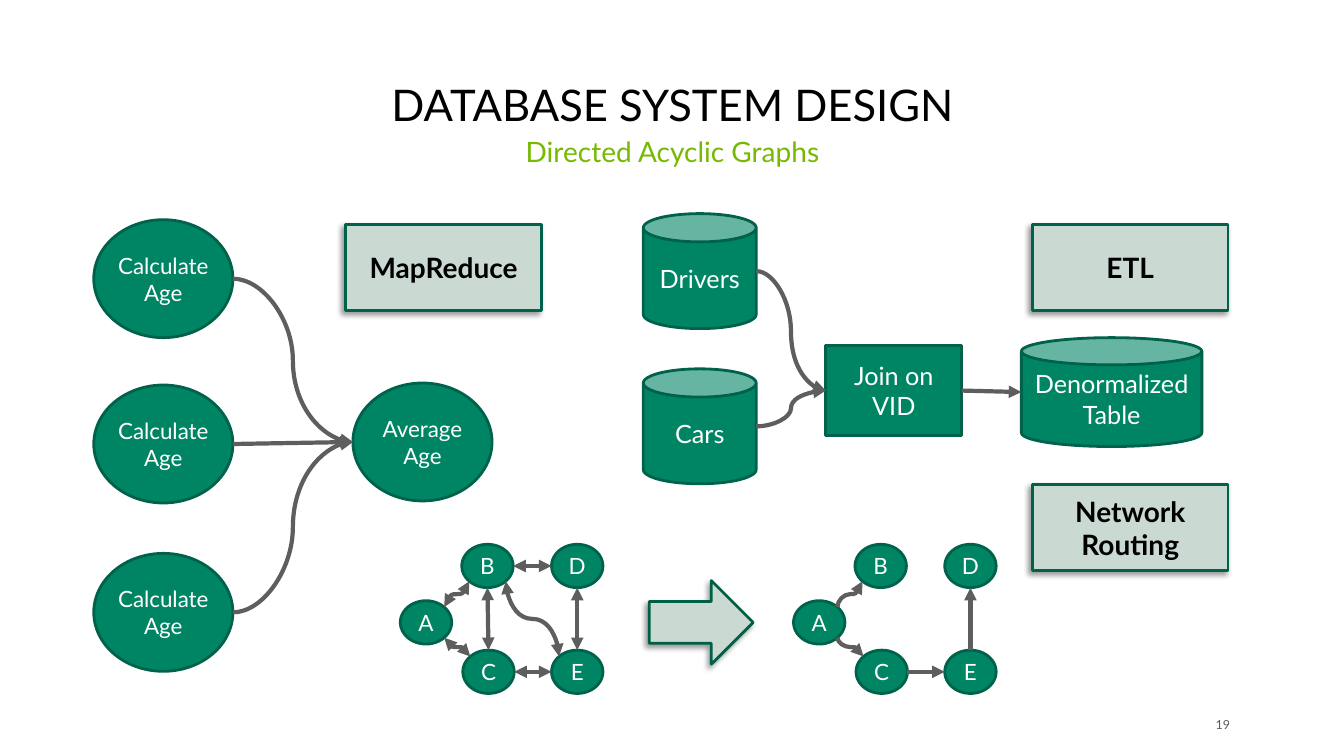
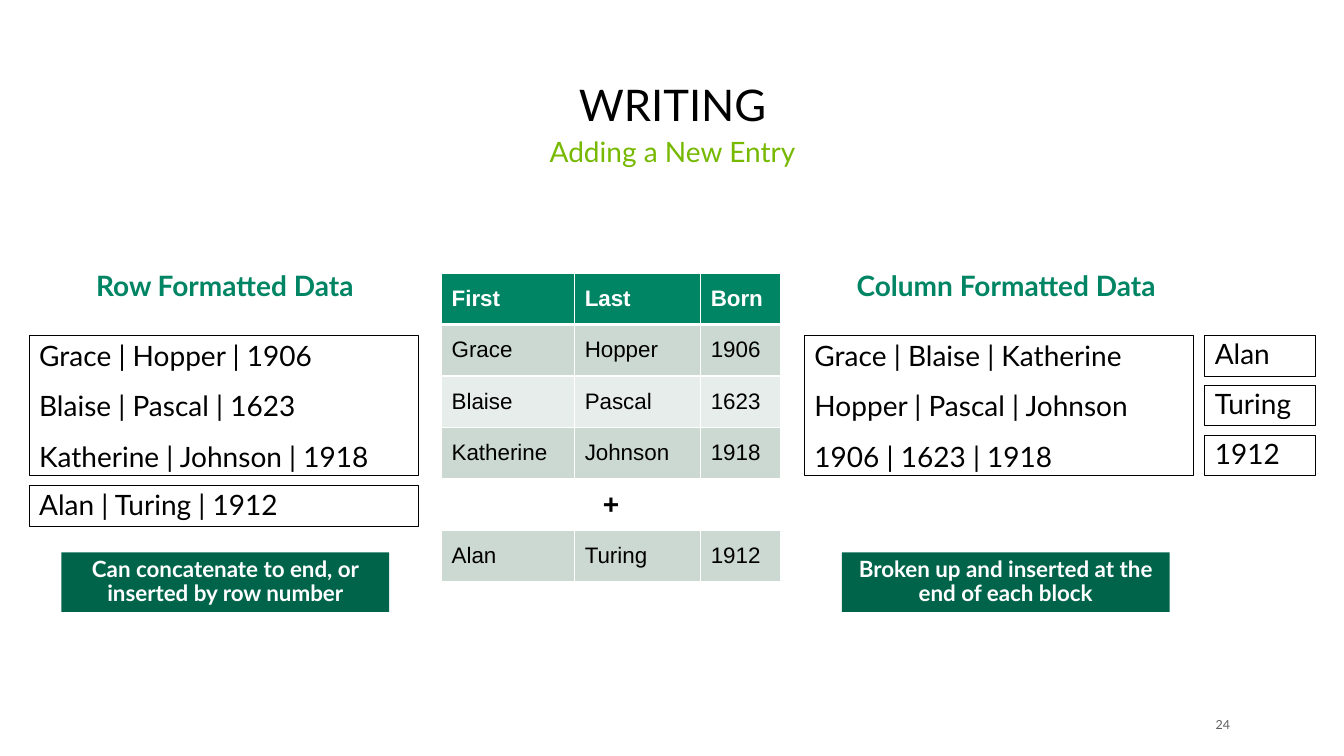
from dataclasses import dataclass
from math import sqrt

from lxml import etree
from pptx import Presentation
from pptx.dml.color import RGBColor
from pptx.enum.shapes import MSO_CONNECTOR as CONN, MSO_SHAPE as SHAPE
from pptx.enum.text import MSO_ANCHOR as ANCHOR, PP_ALIGN as ALIGN
from pptx.oxml.ns import qn
from pptx.util import Inches, Pt


@dataclass(frozen=True)
class Theme:
    font: str = "Lato"
    table_font: str = "Arial"
    green: str = "008564"
    edge: str = "00624A"
    arrow_edge: str = "006047"
    note: str = "00644B"
    pale: str = "CBD9D3"
    band: str = "CCD9D3"
    band_light: str = "E7EDEA"
    lime: str = "76B900"
    grey: str = "5E5E5E"
    black: str = "000000"
    white: str = "FFFFFF"
    title_size: float = 31.1
    large: int = 20
    medium: int = 18
    small: int = 16
    page_size: float = 8.9


T = Theme()

STEPS = {
    "age1": ("Calculate Age", 0.93, 2.18),
    "age2": ("Calculate Age", 0.93, 3.82),
    "age3": ("Calculate Age", 0.93, 5.49),
    "average": ("Average Age", 3.5, 3.8),
}
STEP_SIZE = (1.38, 1.17)
STORES = {
    "drivers": ("Drivers", SHAPE.CAN, (6.38, 2.12, 1.12, 1.14)),
    "cars": ("Cars", SHAPE.CAN, (6.38, 3.66, 1.12, 1.14)),
    "join": ("Join on VID", SHAPE.RECTANGLE, (8.19, 3.43, 1.35, 0.89)),
    "table": ("Denormalized Table", SHAPE.CAN, (10.13, 3.35, 1.79, 1.08)),
}
FLOWS = [("age1", "average"), ("age3", "average"), ("age2", "average"),
         ("drivers", "join"), ("cars", "join"), ("join", "table")]
LABELS = [("MapReduce", 3.43, 2.23), ("ETL", 10.24, 2.23), ("Network Routing", 10.24, 4.81)]
LABEL_SIZE = (1.94, 0.85)

NODES = {"A": (0, 0.56), "C": (0.62, 1.05), "B": (0.61, 0), "E": (1.5, 1.05), "D": (1.5, 0)}
NODE_SIZE = (0.51, 0.43)
ROUTES = [("A", "tr", "B", "bl"), ("A", "br", "C", "tl"), ("C", "r", "E", "l"), ("E", "t", "D", "b")]
EXTRA_ROUTES = [("B", "br", "E", "tl"), ("B", "b", "C", "t"), ("B", "r", "D", "l")]
GRAPHS = [(3.97, 5.4, ROUTES + EXTRA_ROUTES, True), (7.87, 5.4, ROUTES, False)]

PEOPLE = [("First", "Last", "Born"), ("Grace", "Hopper", "1906"), ("Blaise", "Pascal", "1623"),
          ("Katherine", "Johnson", "1918"), ("+",), ("Alan", "Turing", "1912")]
ROW_FILLS = [T.green, T.band, T.band_light, T.band, None, T.band]
COLUMN_WIDTHS = [1.32, 1.25, 0.79]
ROW_HEIGHT = 0.51

HEADINGS = [("Row Formatted Data", 0.3), ("Column Formatted Data", 8.05)]
BLOCKS = [
    (["Grace | Hopper | 1906", "Blaise | Pascal | 1623", "Katherine | Johnson | 1918"], 0.29),
    (["Grace | Blaise | Katherine", "Hopper | Pascal | Johnson", "1906 | 1623 | 1918"], 7.98),
]
BLOCK_TOP, BLOCK_WIDTH, BLOCK_HEIGHT, ENTRY_HEIGHT = 3.33, 3.86, 1.39, 0.4
NEW_VALUES = ["Alan", "Turing", "1912"]
NOTES = [("Can concatenate to end, or inserted by row number", 0.61),
         ("Broken up and inserted at the end of each block", 8.35)]


def rgb(color):
    return RGBColor.from_string(color)


def add_child(parent, tag, **attrs):
    return etree.SubElement(parent, qn(tag), {k: str(v) for k, v in attrs.items()})


def put_text(tf, lines, size, color, bold=False, align=ALIGN.CENTER, anchor=ANCHOR.MIDDLE,
             spacing=None, font=T.font):
    tf.word_wrap = True
    tf.vertical_anchor = anchor
    for i, line in enumerate(lines):
        p = tf.paragraphs[0] if i == 0 else tf.add_paragraph()
        p.alignment = align
        if spacing:
            p.line_spacing = spacing[i]
        r = p.add_run()
        r.text = line
        r.font.name, r.font.size, r.font.bold = font, Pt(size), bold
        r.font.color.rgb = rgb(color)


def add_text(slide, box, text, size, color, **style):
    sp = slide.shapes.add_textbox(*map(Inches, box))
    put_text(sp.text_frame, [text], size, color, **style)
    return sp


def add_box(slide, kind, box, fill=None, line=None, width=2.0):
    sp = slide.shapes.add_shape(kind, *map(Inches, box))
    sp.shadow.inherit = False
    if fill:
        sp.fill.solid()
        sp.fill.fore_color.rgb = rgb(fill)
    else:
        sp.fill.background()
    if line:
        sp.line.color.rgb = rgb(line)
        sp.line.width = Pt(width)
    else:
        sp.line.fill.background()
    return sp


def add_shadow(sp):
    effects = sp._element.spPr.find(qn("a:effectLst"))
    shadow = add_child(effects, "a:outerShdw", blurRad=Pt(4), dist=Pt(3), dir=135 * 60000,
                       algn="tr", rotWithShape=0)
    color = add_child(shadow, "a:srgbClr", val=T.black)
    add_child(color, "a:alpha", val=40000)


def add_ellipse(slide, text, box):
    sp = add_box(slide, SHAPE.OVAL, box, T.green, T.edge)
    sp.text_frame.margin_left = sp.text_frame.margin_right = 0
    put_text(sp.text_frame, [text], T.small, T.white)


def site(box, side):
    x, y, w, h = box
    dx = ("r" in side) - ("l" in side)
    dy = ("b" in side) - ("t" in side)
    reach = 1 / sqrt(2) if dx and dy else 1
    return x + w / 2 * (1 + dx * reach), y + h / 2 * (1 + dy * reach)


def add_arrow(slide, start_box, start_side, end_box, end_side, both=False):
    (x1, y1), (x2, y2) = site(start_box, start_side), site(end_box, end_side)
    dx, dy = x2 - x1, y2 - y1
    kind = CONN.STRAIGHT if min(abs(dx), abs(dy)) < 0.05 else CONN.CURVE
    turned = kind == CONN.CURVE and start_side != "r"
    if turned:
        sign = 1 if dy < 0 else -1
        mx, my = (x1 + x2) / 2, (y1 + y2) / 2
        ux, uy = sign * dy / 2, -sign * dx / 2
        x1, y1, x2, y2 = mx - ux, my - uy, mx + ux, my + uy
    cn = slide.shapes.add_connector(kind, *map(Inches, (x1, y1, x2, y2)))
    if turned:
        cn._element.spPr.find(qn("a:xfrm")).set("rot", str((90 if sign > 0 else 270) * 60000))
    cn.line.color.rgb = rgb(T.grey)
    cn.line.width = Pt(3)
    ln = cn.line._get_or_add_ln()
    if both:
        add_child(ln, "a:headEnd", type="triangle")
    add_child(ln, "a:tailEnd", type="triangle")
    add_child(cn._element.spPr, "a:effectLst")


def add_slide(prs, title, subtitle, number):
    slide = prs.slides.add_slide(prs.slide_layouts[6])
    add_text(slide, (0.61, 0.63, 12.12, 0.72), title, T.title_size, T.black,
             anchor=ANCHOR.BOTTOM, spacing=[0.9])
    add_text(slide, (0.61, 1.32, 12.12, 0.64), subtitle, T.large, T.lime,
             anchor=ANCHOR.TOP, spacing=[0.9])
    page = add_text(slide, (11.81, 7.09, 0.39, 0.2), number, T.page_size, T.grey, align=ALIGN.RIGHT)
    tf = page.text_frame
    tf.margin_left = tf.margin_right = tf.margin_top = tf.margin_bottom = 0
    return slide


def add_people_table(slide):
    table = slide.shapes.add_table(
        len(PEOPLE), len(COLUMN_WIDTHS), Inches(4.38), Inches(2.71),
        Inches(sum(COLUMN_WIDTHS)), Inches(ROW_HEIGHT * len(PEOPLE))).table
    table.first_row = table.horz_banding = False
    for column, width in zip(table.columns, COLUMN_WIDTHS):
        column.width = Inches(width)
    for r, (values, fill) in enumerate(zip(PEOPLE, ROW_FILLS)):
        table.rows[r].height = Inches(ROW_HEIGHT)
        for c in range(len(COLUMN_WIDTHS)):
            cell = table.cell(r, c)
            tcPr = cell._tc.get_or_add_tcPr()
            for edge in ("lnL", "lnR", "lnT", "lnB"):
                thick = (r, edge) in ((0, "lnB"), (1, "lnT"))
                ln = add_child(tcPr, "a:" + edge, w=Pt(3 if thick else 1))
                add_child(add_child(ln, "a:solidFill"), "a:srgbClr", val=T.white)
            if fill:
                cell.fill.solid()
                cell.fill.fore_color.rgb = rgb(fill)
            else:
                cell.fill.background()
        single = len(values) == 1
        if single:
            table.cell(r, 0).merge(table.cell(r, len(COLUMN_WIDTHS) - 1))
        for c, value in enumerate(values):
            cell = table.cell(r, c)
            put_text(cell.text_frame, [value], T.large if single else T.small,
                     T.white if r == 0 else T.black, bold=single or r == 0,
                     align=ALIGN.CENTER if single else ALIGN.LEFT, font=T.table_font)
            cell.vertical_anchor = ANCHOR.MIDDLE


def build_graphs_slide(prs):
    slide = add_slide(prs, "DATABASE SYSTEM DESIGN", "Directed Acyclic Graphs", "19")
    boxes = {}
    for key, (text, x, y) in STEPS.items():
        boxes[key] = (x, y, *STEP_SIZE)
        add_ellipse(slide, text, boxes[key])
    for key, (text, kind, box) in STORES.items():
        boxes[key] = box
        sp = add_box(slide, kind, box, T.green, T.edge)
        put_text(sp.text_frame, [text], T.medium, T.white)
    for start, end in FLOWS:
        add_arrow(slide, boxes[start], "r", boxes[end], "l")
    for text, x, y in LABELS:
        sp = add_box(slide, SHAPE.RECTANGLE, (x, y, *LABEL_SIZE), T.pale, T.edge)
        add_shadow(sp)
        put_text(sp.text_frame, [text], T.large, T.black, bold=True)
    for left, top, routes, both in GRAPHS:
        nodes = {name: (left + x, top + y, *NODE_SIZE) for name, (x, y) in NODES.items()}
        for name, box in nodes.items():
            add_ellipse(slide, name, box)
        for start, start_side, end, end_side in routes:
            add_arrow(slide, nodes[start], start_side, nodes[end], end_side, both)
    add_shadow(add_box(slide, SHAPE.RIGHT_ARROW, (6.44, 5.76, 1.03, 0.83), T.pale, T.arrow_edge))


def add_data_box(slide, box, lines):
    sp = add_box(slide, SHAPE.RECTANGLE, box, line=T.black, width=0.5)
    spacing = [1.0, 1.5, 1.5] if len(lines) > 1 else [0.9]
    put_text(sp.text_frame, lines, T.large, T.black, align=ALIGN.LEFT, spacing=spacing)


def build_writing_slide(prs):
    slide = add_slide(prs, "WRITING", "Adding a New Entry", "24")
    add_people_table(slide)
    for text, x in HEADINGS:
        add_text(slide, (x, 2.65, BLOCK_WIDTH, ENTRY_HEIGHT), text, T.large, T.green,
                 bold=True, spacing=[0.9])
    for lines, x in BLOCKS:
        add_data_box(slide, (x, BLOCK_TOP, BLOCK_WIDTH, BLOCK_HEIGHT), lines)
    add_data_box(slide, (0.29, 4.82, BLOCK_WIDTH, ENTRY_HEIGHT), [" | ".join(NEW_VALUES)])
    pitch = (BLOCK_HEIGHT - ENTRY_HEIGHT) / (len(NEW_VALUES) - 1)
    for i, value in enumerate(NEW_VALUES):
        add_data_box(slide, (11.95, BLOCK_TOP + i * pitch, 1.1, ENTRY_HEIGHT), [value])
    for text, x in NOTES:
        sp = add_box(slide, SHAPE.RECTANGLE, (x, 5.48, 3.25, 0.59), T.note)
        put_text(sp.text_frame, [text], T.small, T.white, bold=True, spacing=[0.9])


def main():
    prs = Presentation()
    prs.slide_width, prs.slide_height = Inches(13.33), Inches(7.5)
    build_graphs_slide(prs)
    build_writing_slide(prs)
    prs.save("out.pptx")


if __name__ == "__main__":
    main()
